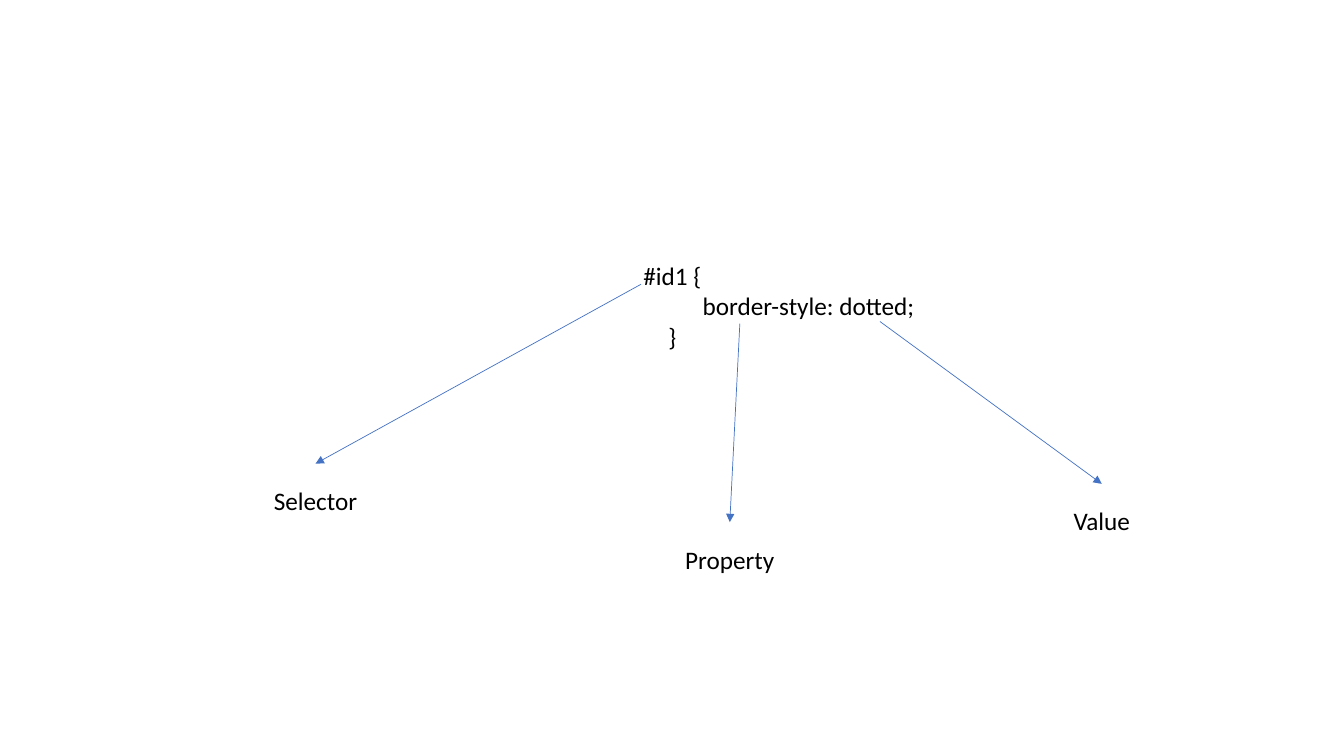
from dataclasses import dataclass

from lxml.etree import SubElement
from pptx import Presentation
from pptx.dml.color import RGBColor
from pptx.enum.shapes import MSO_CONNECTOR, MSO_SHAPE
from pptx.enum.text import MSO_ANCHOR, PP_ALIGN
from pptx.oxml.ns import qn
from pptx.util import Inches, Pt


@dataclass(frozen=True)
class Theme:
    background: RGBColor = RGBColor(0xFF, 0xFF, 0xFF)
    text: RGBColor = RGBColor(0, 0, 0)
    arrow: RGBColor = RGBColor(0x44, 0x72, 0xC4)
    font: str = "Calibri"
    text_size: float = 18
    arrow_width: float = 0.5


class SlideBuilder:
    COLUMNS = 40
    ROWS = 30

    def __init__(self, presentation, theme):
        self.theme = theme
        self.column = presentation.slide_width / self.COLUMNS
        self.row = presentation.slide_height / self.ROWS
        self.slide = presentation.slides.add_slide(presentation.slide_layouts[6])

    def place(self, column, row):
        return round(column * self.column), round(row * self.row)

    def text_box(self, column, row, width, height, lines):
        shape = self.slide.shapes.add_shape(
            MSO_SHAPE.RECTANGLE, *self.place(column, row), *self.place(width, height)
        )
        shape.shadow.inherit = False
        shape.fill.solid()
        shape.fill.fore_color.rgb = self.theme.background
        shape.line.fill.background()
        frame = shape.text_frame
        frame.word_wrap = True
        frame.vertical_anchor = MSO_ANCHOR.MIDDLE
        for index, line in enumerate(lines):
            paragraph = frame.add_paragraph() if index else frame.paragraphs[0]
            paragraph.alignment = PP_ALIGN.CENTER
            run = paragraph.add_run()
            run.text = line
            run.font.name = self.theme.font
            run.font.size = Pt(self.theme.text_size)
            run.font.color.rgb = self.theme.text

    def arrow(self, start, end):
        connector = self.slide.shapes.add_connector(
            MSO_CONNECTOR.STRAIGHT, *self.place(*start), *self.place(*end)
        )
        connector.line.color.rgb = self.theme.arrow
        connector.line.width = Pt(self.theme.arrow_width)
        properties = connector.element.spPr
        SubElement(properties.find(qn("a:ln")), qn("a:tailEnd"), type="triangle")
        SubElement(properties, qn("a:effectLst"))


CODE_LINES = ("#id1 {", " " * 48 + "border-style: dotted;", "}")
LABEL_WIDTH, LABEL_HEIGHT, LABEL_GAP = 5.58, 2.76, 0.08
CALLOUTS = (
    ("Selector", (19.08, 11.28), (9.39, 18.4)),
    ("Property", (22.02, 12.84), (21.72, 20.72)),
    ("Value", (26.19, 12.76), (32.79, 19.2)),
)


def main():
    presentation = Presentation()
    presentation.slide_width = Inches(13.33)
    presentation.slide_height = Inches(7.5)
    builder = SlideBuilder(presentation, Theme())
    builder.text_box(11.76, 9.28, 16.5, 5.72, CODE_LINES)
    for _, start, end in CALLOUTS:
        builder.arrow(start, end)
    for label, _, (column, row) in CALLOUTS:
        builder.text_box(
            column - LABEL_WIDTH / 2, row + LABEL_GAP, LABEL_WIDTH, LABEL_HEIGHT, [label]
        )
    presentation.save("out.pptx")


if __name__ == "__main__":
    main()
